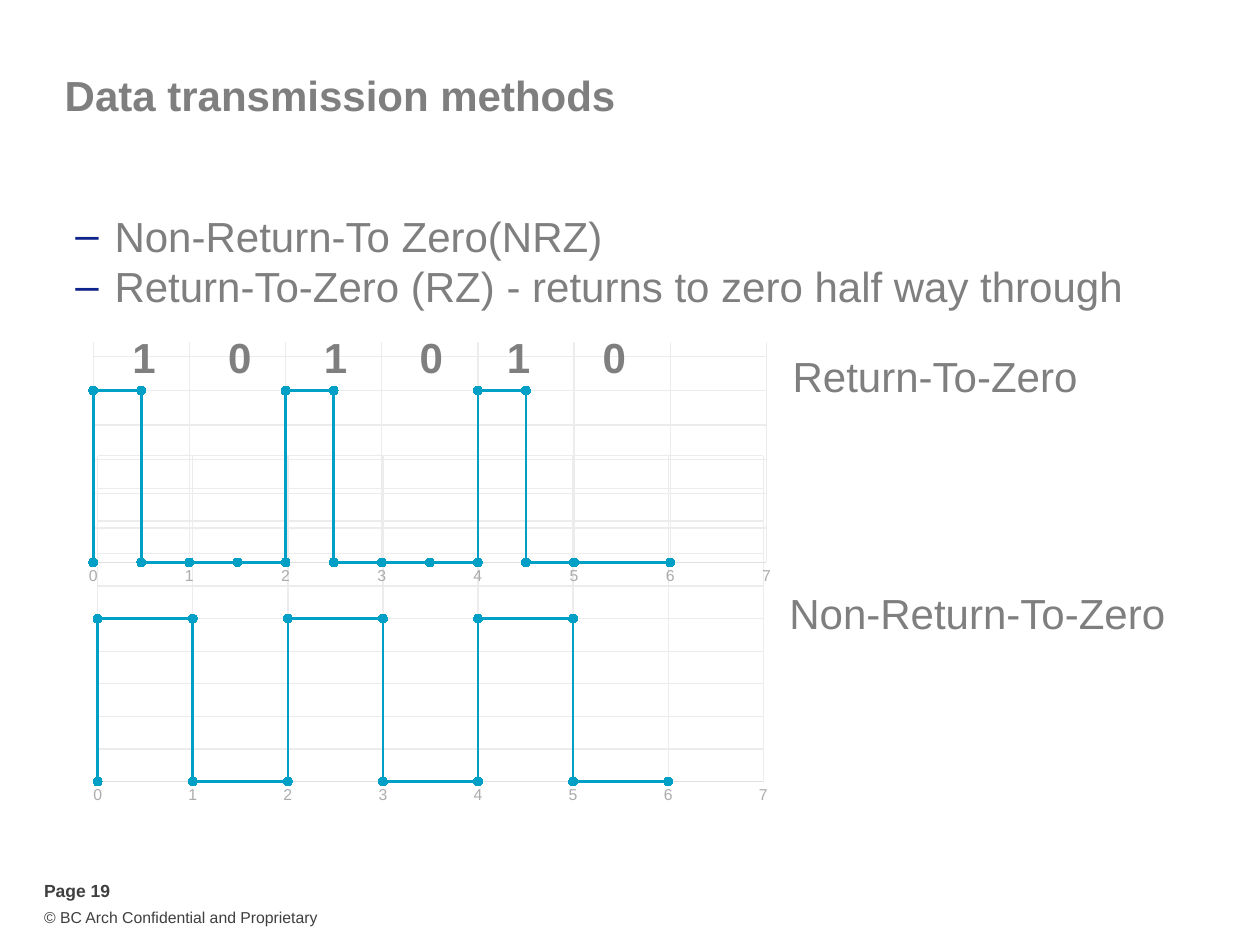
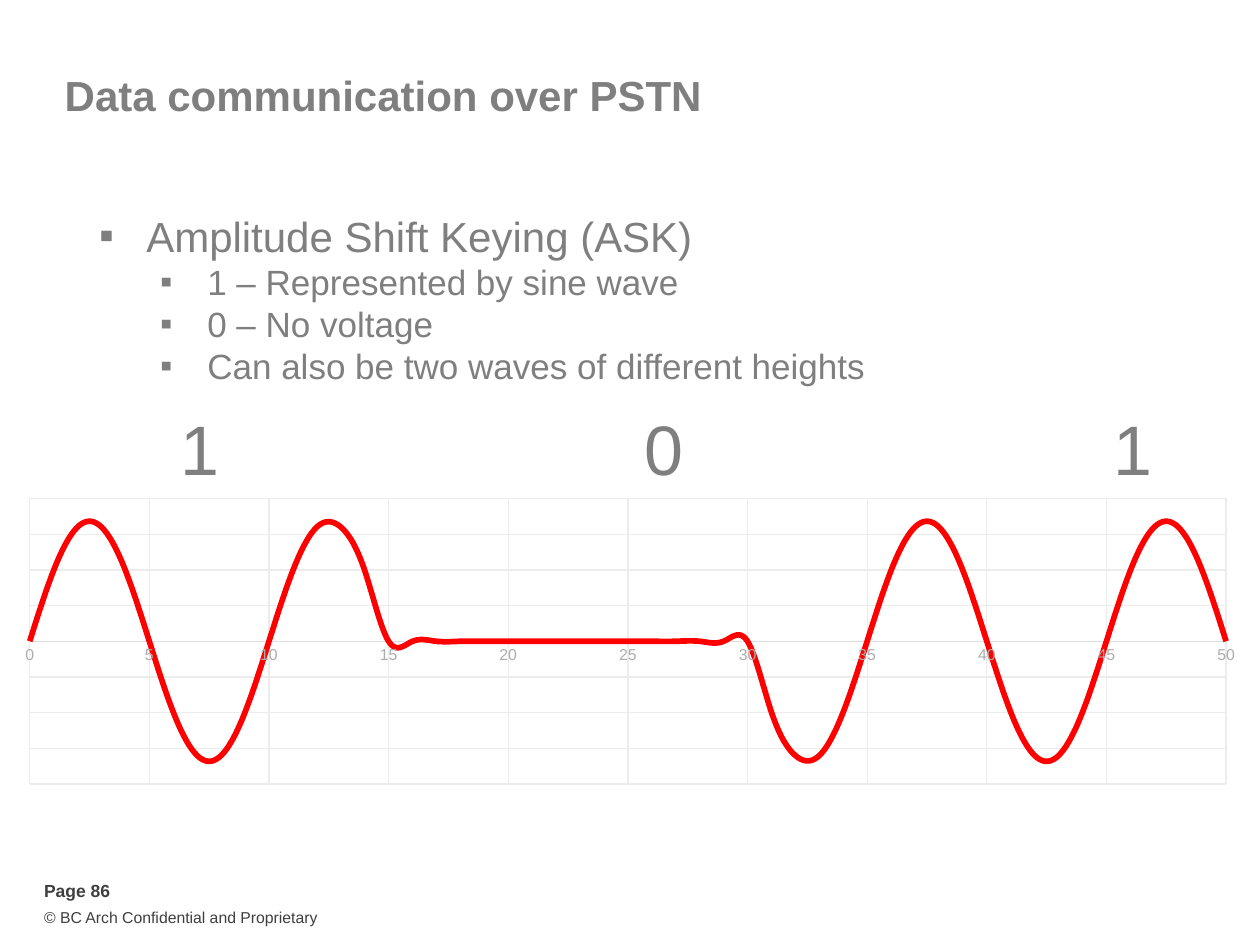
from dataclasses import dataclass

from lxml import etree
from pptx import Presentation
from pptx import util as u
from pptx.chart import data as chart_data
from pptx.dml.color import RGBColor
from pptx.enum import chart as chart_enum, text
from pptx.oxml import parse_xml
from pptx.oxml.ns import nsdecls, qn


@dataclass(frozen=True)
class Theme:
    font: str = "Arial"
    white: str = "FFFFFF"
    body: str = "7F7F7F"
    footer: str = "3F3F3F"
    dash: str = "0F238C"
    tick: str = "ACACAC"
    axis: str = "DFDFDF"
    grid: str = "ECECEC"
    blank: str = "CBDDFD"
    pulse: str = "00A0C6"
    sine: str = "FF0000"
    copyright_size: int = 9
    page_size: int = 10
    tick_size: int = 9
    main_size: int = 24
    detail_size: int = 20
    digit_size: int = 40


THEME = Theme()

# Content; boxes are left, top, width, height in cm
COPYRIGHT = "© BC Arch Confidential and Proprietary"
BITS = (1, 0, 1, 0, 1, 0)
HIGH = 100
ASK_CYCLE = (0, 62, 100, 100, 62, 0, -62, -100, -100, -62)

# Bullet levels: margin, hanging, mark, mark colour, size
DASH = (2.06, 0.79, "–", THEME.dash, THEME.main_size)
SQUARE = (2.7, 0.95, "▪", THEME.body, THEME.main_size)
SUB_SQUARE = (3.93, 0.95, "▪", THEME.body, THEME.detail_size)

METHODS = [
    (DASH, "Non-Return-To Zero(NRZ)"),
    (DASH, "Return-To-Zero (RZ) - returns to zero half way through"),
]
ASK_POINTS = [
    (SQUARE, "Amplitude Shift Keying (ASK)"),
    (SUB_SQUARE, "1 – Represented by sine wave"),
    (SUB_SQUARE, "0 – No voltage"),
    (SUB_SQUARE, "Can also be two waves of different heights"),
]
WAVE_LABELS = [
    ("Return-To-Zero", (15.69, 6.95, 6.32, 1.27)),
    ("Non-Return-To-Zero", (15.61, 11.71, 8.18, 1.27)),
]
BIT_LEFTS = (2.41, 4.34, 6.27, 8.2, 9.96, 11.89)
ASK_DIGITS = [("1", 1.54), ("0", 10.9), ("1", 20.35)]


# Signals
def nrz_wave():
    points = [(0, 0)]
    for start, bit in enumerate(BITS):
        points += [(start, bit * HIGH), (start + 1, bit * HIGH)]
    return points


def rz_wave():
    points = [(0, 0)]
    for start, bit in enumerate(BITS):
        half = start + 0.5
        points += [(start, bit * HIGH), (half, bit * HIGH), (half, 0), (start + 1, 0)]
    return points[:-3] + points[-1:]  # the last bit is one flat stretch


def ask_wave():
    def level(time):
        if time <= 15:
            return 0 if time == 15 else ASK_CYCLE[time % 10]
        return 0 if time <= 30 else ASK_CYCLE[(time + 5) % 10]
    return [(time, level(time)) for time in range(51)]


# Helpers
def rgb(colour):
    return RGBColor.from_string(colour)


def cm(box):
    return [u.Cm(length) for length in box]


def style(font, size, colour, bold=False):
    font.name, font.size, font.bold = THEME.font, u.Pt(size), bold
    font.color.rgb = rgb(colour)


def add_run(paragraph, words, size, colour=THEME.body, bold=False):
    run = paragraph.add_run()
    run.text = words
    style(run.font, size, colour, bold)


def add_label(slide, words, box, size, colour=THEME.body, bold=False,
              align=text.PP_ALIGN.CENTER, wrap=True):
    frame = slide.shapes.add_textbox(*cm(box)).text_frame
    frame.word_wrap = wrap
    frame.paragraphs[0].alignment = align
    add_run(frame.paragraphs[0], words, size, colour, bold)


def add_bullets(slide, items, box, fill=None):
    holder = slide.shapes.add_textbox(*cm(box))
    if fill:
        holder.fill.solid()
        holder.fill.fore_color.rgb = rgb(fill)
    frame = holder.text_frame
    frame.word_wrap = True
    for index, ((margin, hanging, mark, mark_colour, size), words) in enumerate(items):
        paragraph = frame.paragraphs[0] if index == 0 else frame.add_paragraph()
        properties = paragraph._p.get_or_add_pPr()
        properties.set("marL", str(u.Cm(margin)))
        properties.set("indent", str(-u.Cm(hanging)))
        colour = etree.SubElement(properties, qn("a:buClr"))
        etree.SubElement(colour, qn("a:srgbClr"), val=mark_colour)
        etree.SubElement(properties, qn("a:buFont"), typeface=THEME.font)
        etree.SubElement(properties, qn("a:buChar"), char=mark)
        add_run(paragraph, words, size)


def no_fill():
    return parse_xml(f'<c:spPr {nsdecls("c", "a")}><a:noFill/>'
                     '<a:ln><a:noFill/></a:ln></c:spPr>')


def place_plot(chart, box, plot):
    """Set the inner plot area and leave the chart's backgrounds clear."""
    fractions = ((plot[0] - box[0]) / box[2], (plot[1] - box[1]) / box[3],
                 plot[2] / box[2], plot[3] / box[3])
    sizes = "".join(f'<c:{tag} val="{part:.4f}"/>' for tag, part in zip("xywh", fractions))
    area = chart._chartSpace.chart.plotArea
    for old in area.findall(qn("c:layout")):
        area.remove(old)
    area.insert(0, parse_xml(
        f'<c:layout {nsdecls("c")}><c:manualLayout><c:layoutTarget val="inner"/>'
        f'<c:xMode val="edge"/><c:yMode val="edge"/>{sizes}</c:manualLayout></c:layout>'))
    area.append(no_fill())
    chart._chartSpace.chart.addnext(no_fill())


def style_series(series, colour, width, smooth, marked):
    """Format one series; scatter smoothing is set in the XML."""
    element = series._element
    for old in element.findall(qn("c:smooth")):
        element.remove(old)
    etree.SubElement(element, qn("c:smooth"), val=str(int(smooth)))
    series.format.line.color.rgb = rgb(colour)
    series.format.line.width = u.Pt(width)
    marker = series.marker
    if not marked:
        marker.style = chart_enum.XL_MARKER_STYLE.NONE
        return
    marker.style, marker.size = chart_enum.XL_MARKER_STYLE.CIRCLE, 5
    marker.format.fill.solid()
    marker.format.fill.fore_color.rgb = rgb(colour)
    marker.format.line.color.rgb = rgb(colour)


def add_wave(slide, points, box, plot, time_scale, level_scale, colour, width, smooth=False):
    data = chart_data.XyChartData()
    blank, signal = data.add_series("Series 1"), data.add_series("Series 2")
    for time, level in points:
        blank.add_data_point(time, None)
        signal.add_data_point(time, level)
    kinds = chart_enum.XL_CHART_TYPE
    kind = kinds.XY_SCATTER_SMOOTH if smooth else kinds.XY_SCATTER_LINES
    chart = slide.shapes.add_chart(kind, *cm(box), data).chart
    chart.has_legend = chart.has_title = False
    style(chart.font, THEME.page_size, THEME.body)
    chart.plots[0].vary_by_categories = False

    for axis, scale in ((chart.category_axis, time_scale), (chart.value_axis, level_scale)):
        axis.minimum_scale, axis.maximum_scale, axis.major_unit = scale
        axis.major_tick_mark = axis.minor_tick_mark = chart_enum.XL_TICK_MARK.NONE
        axis.has_major_gridlines = True
        for line, shade in ((axis.major_gridlines.format.line, THEME.grid),
                            (axis.format.line, THEME.axis)):
            line.color.rgb = rgb(shade)
            line.width = u.Pt(0.75)
    style(chart.category_axis.tick_labels.font, THEME.tick_size, THEME.tick)
    chart.value_axis.visible = False

    blank_series, signal_series = chart.plots[0].series
    levels = blank_series._element.find(qn("c:yVal"))
    for point in list(levels.iter(qn("c:pt"))):
        point.getparent().remove(point)
    style_series(blank_series, THEME.blank, 1.5, smooth, True)
    style_series(signal_series, colour, width, smooth, not smooth)
    place_plot(chart, box, plot)


def add_slide(deck, heading, page):
    slide = deck.slides.add_slide(deck.slide_layouts[5])
    title = slide.shapes.title
    title.left, title.top, title.width, title.height = cm((1.05, 1.05, 22.86, 1.7))
    frame = title.text_frame
    frame.vertical_anchor = text.MSO_ANCHOR.MIDDLE
    frame.paragraphs[0].alignment = text.PP_ALIGN.LEFT
    add_run(frame.paragraphs[0], heading, THEME.main_size, bold=True)
    left = text.PP_ALIGN.LEFT
    add_label(slide, COPYRIGHT, (0.64, 18.18, 8.26, 0.64), THEME.copyright_size,
              THEME.footer, align=left)
    add_label(slide, f"Page {page}", (0.64, 17.62, 2.74, 0.69), THEME.page_size,
              THEME.footer, bold=True, align=left)
    return slide


# Slides
def build_transmission(deck):
    slide = add_slide(deck, "Data transmission methods", 19)
    scales = ((0, 7, 1), (0, 200, 20), THEME.pulse, 1.5)
    add_wave(slide, nrz_wave(), (1.02, 8.94, 14.78, 7.8), (1.97, 9.19, 13.42, 6.57), *scales)
    add_wave(slide, rz_wave(), (1.5, 4.24, 14.33, 7.72), (1.88, 4.41, 13.57, 6.93), *scales)
    add_bullets(slide, METHODS, (0, 4.11, 24.61, 2.79), THEME.white)
    for bit, left in zip(BITS, BIT_LEFTS):
        add_label(slide, str(bit), (left, 6.55, 0.99, 1.27), THEME.main_size, bold=True)
    for words, box in WAVE_LABELS:
        add_label(slide, words, box, THEME.main_size, wrap=False)


def build_pstn(deck):
    slide = add_slide(deck, "Data communication over PSTN", 86)
    add_bullets(slide, ASK_POINTS, (0, 4.11, 25.4, 11.81))
    add_wave(slide, ask_wave(), (0, 9.93, 25.4, 5.99), (0.6, 10.05, 24.12, 5.76),
             (0, 50, 5), (-125, 125, 31.25), THEME.sine, 3.25, smooth=True)
    for digit, left in ASK_DIGITS:
        add_label(slide, digit, (left, 8.05, 4.98, 1.96), THEME.digit_size)


def main():
    deck = Presentation()
    deck.slide_width, deck.slide_height = u.Cm(25.4), u.Cm(19.05)
    build_transmission(deck)
    build_pstn(deck)
    deck.save("out.pptx")


if __name__ == "__main__":
    main()
